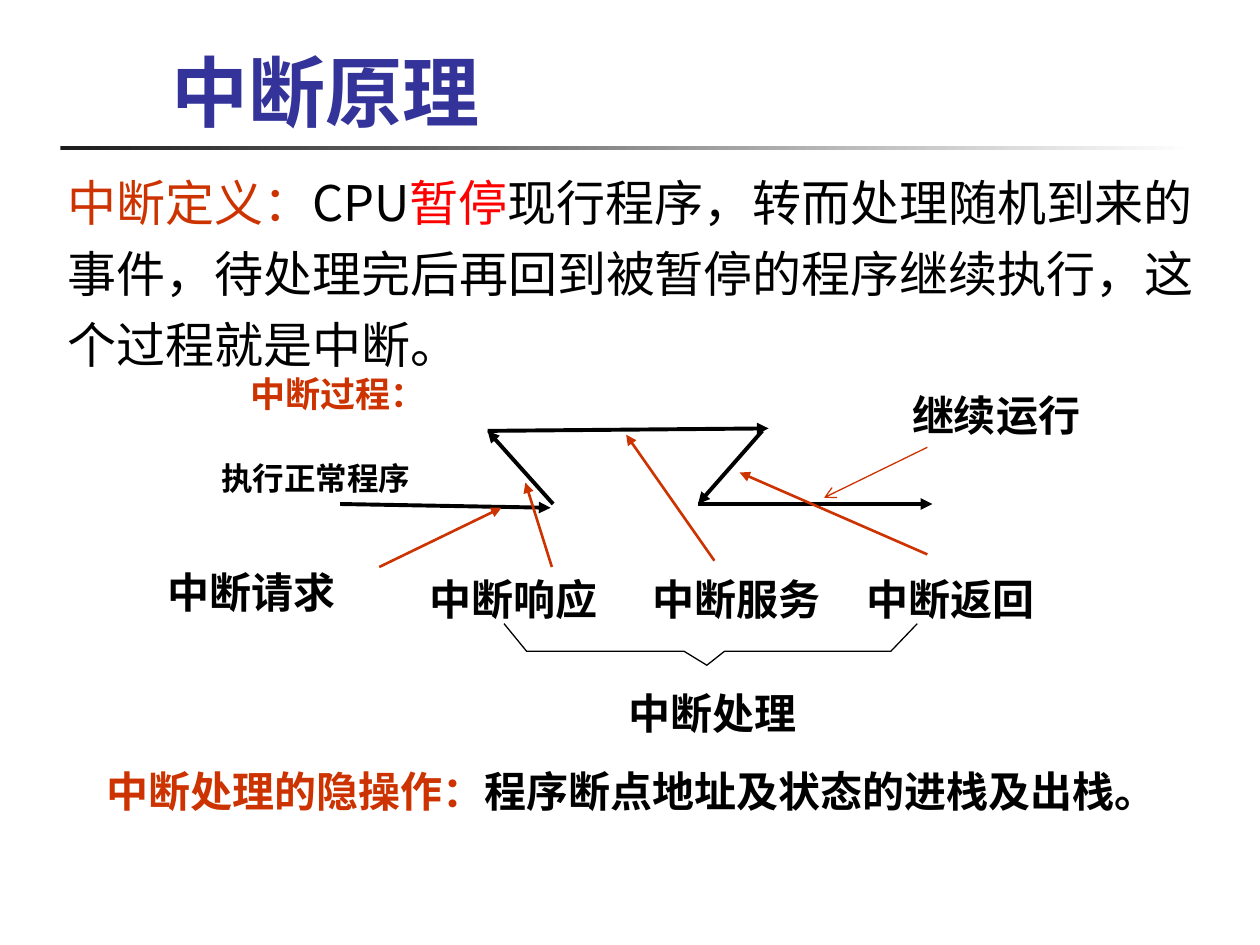
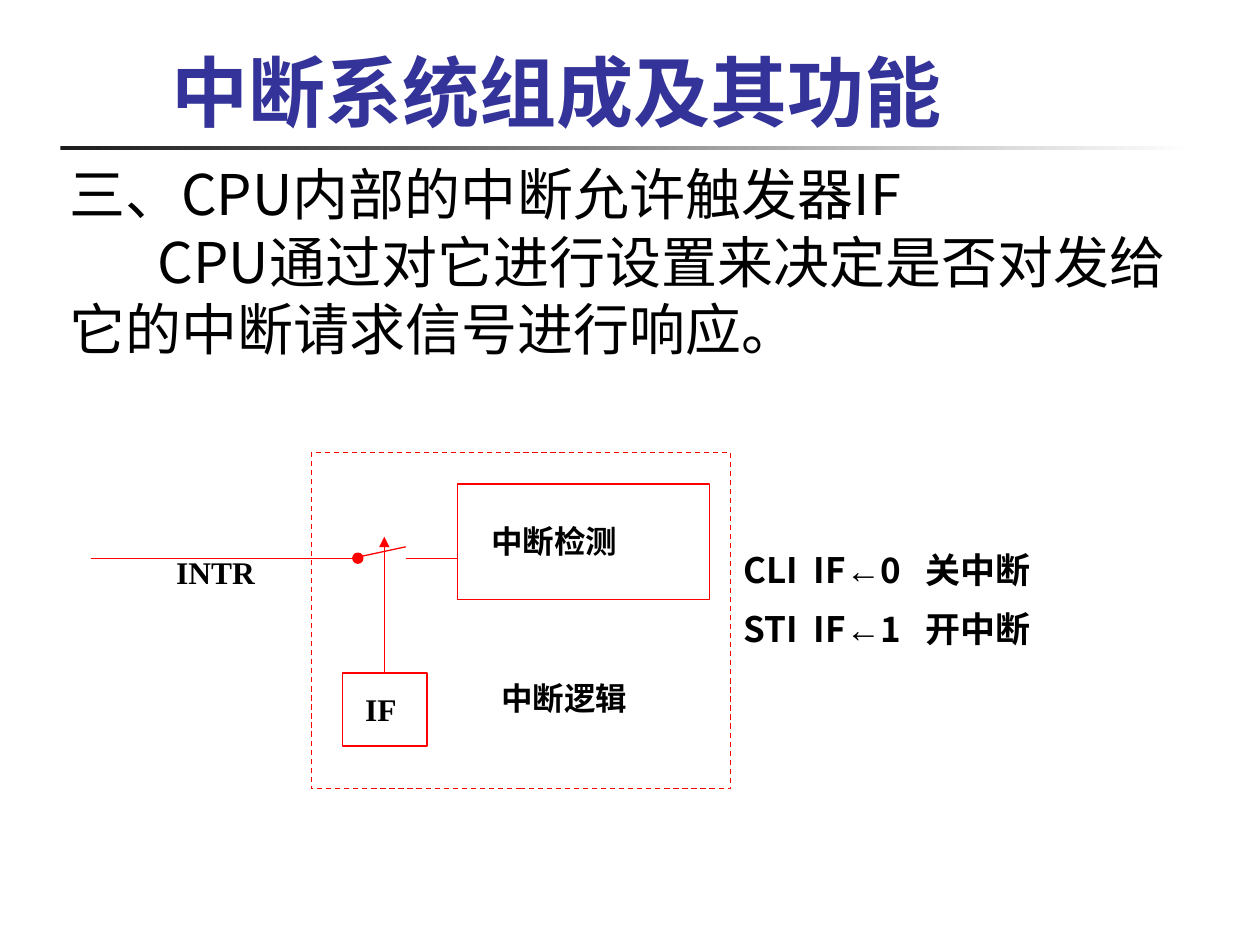
from lxml.etree import SubElement
from pptx import Presentation
from pptx.dml.color import RGBColor
from pptx.enum.dml import MSO_LINE
from pptx.enum.shapes import MSO_CONNECTOR, MSO_SHAPE
from pptx.enum.text import MSO_ANCHOR
from pptx.oxml.ns import qn
from pptx.util import Emu, Pt

PX = 9144  # 100 px to the inch
COLORS = {
    "title": "333399",
    "text": "000000",
    "accent": "CC3300",
    "red": "FF0000",
    "rule_dark": "1C1C1C",
    "rule_light": "FFFFFF",
}
SANS = "Noto Sans CJK SC"
SERIF = "Times New Roman"
ARIAL = "Arial"


def px(*lengths):
    return [Emu(length * PX) for length in lengths]


def rgb(name):
    return RGBColor.from_string(COLORS[name])


def add_text(page, area, width_wraps=True):
    """Return the text frame of a new text box."""
    frame = page.shapes.add_textbox(*px(*area)).text_frame
    frame.word_wrap = width_wraps
    return frame


def add_run(para, words, size, font=SERIF, color="text", bold=True, asian=SANS):
    span = para.add_run()
    span.text = words
    span.font.size = Pt(size)
    span.font.bold = bold
    span.font.color.rgb = rgb(color)
    span.font.name = font
    SubElement(span.font._element, qn("a:ea")).set("typeface", asian)


def add_label(page, area, words, size, font=SERIF, color="text", wraps=True):
    add_run(add_text(page, area, wraps).paragraphs[0], words, size, font, color)


def add_line(page, start, end, color, weight, tip=None):
    """Draw a straight line, with an arrowhead of type tip at its end."""
    line = page.shapes.add_connector(MSO_CONNECTOR.STRAIGHT, *px(*start, *end))
    line.line.color.rgb = rgb(color)
    line.line.width = Pt(weight)
    if tip:
        SubElement(line.line._get_or_add_ln(), qn("a:tailEnd")).set("type", tip)
    SubElement(line._element.spPr, qn("a:effectLst"))


def add_outline(page, area, dashed=False, kind=MSO_SHAPE.RECTANGLE, filled=False):
    """Draw a thin red shape, hollow unless filled."""
    shape = page.shapes.add_shape(kind, *px(*area))
    shape.shadow.inherit = False
    if filled:
        shape.fill.solid()
        shape.fill.fore_color.rgb = rgb("red")
    else:
        shape.fill.background()
    shape.line.color.rgb = rgb("red")
    shape.line.width = Pt(0.75)
    if dashed:
        shape.line.dash_style = MSO_LINE.DASH


def add_bracket(page, points):
    builder = page.shapes.build_freeform(*points[0], scale=PX)
    builder.add_line_segments(points[1:], close=False)
    bracket = builder.convert_to_shape()
    bracket.shadow.inherit = False
    bracket.fill.background()
    bracket.line.color.rgb = rgb("text")
    bracket.line.width = Pt(0.75)


def add_tab_stops(para, *stops):
    tabs = SubElement(para._p.get_or_add_pPr(), qn("a:tabLst"))
    for stop in stops:
        tab = SubElement(tabs, qn("a:tab"))
        tab.set("pos", str(stop * PX))
        tab.set("algn", "l")


def add_page(deck, title, title_width):
    """Add a page with the fading rule and its title."""
    page = deck.slides.add_slide(deck.slide_layouts[6])
    rule = page.shapes.add_shape(MSO_SHAPE.RECTANGLE, *px(48, 116, 900, 3))
    rule.shadow.inherit = False
    rule.line.fill.background()
    rule.fill.gradient()
    rule.fill.gradient_angle = 0
    for stop, color in zip(rule.fill.gradient_stops, ("rule_dark", "rule_light")):
        stop.color.rgb = rgb(color)
    frame = add_text(page, (126, 22, title_width, 100))
    frame.vertical_anchor = MSO_ANCHOR.MIDDLE
    add_run(frame.paragraphs[0], title, 44, SANS, "title")
    return page


def add_principle_page(deck):
    page = add_page(deck, "中断原理", 682)

    para = add_text(page, (44, 123, 933, 178)).paragraphs[0]
    para.line_spacing = 1.2
    for words, color in (
        ("中断定义：", "accent"),
        ("CPU", "text"),
        ("暂停", "red"),
        ("现行程序，转而处理随机到来的事件，待处理完后再回到被暂停的程序继续执行，"
         "这个过程就是中断。", "text"),
    ):
        add_run(para, words, 28, SANS, color, bold=False)

    add_label(page, (189, 291, 255, 44), "中断过程：", 20, color="accent")
    add_label(page, (166, 359, 170, 40), "执行正常程序", 18, ARIAL, wraps=False)

    program_flow = (
        ((270, 400), (437, 403)),
        ((439, 400), (387, 342)),
        ((387, 342), (610, 340)),
        ((605, 342), (554, 400)),
        ((554, 400), (740, 400)),
    )
    for start, end in program_flow:
        add_line(page, start, end, "text", 2.25, "triangle")

    stages = (
        ("中断请求", (123, 445), (301, 450), (398, 403)),
        ("中断响应", (331, 450), (438, 450), (417, 383)),
        ("中断服务", (508, 450), (567, 445), (497, 345)),
        ("中断返回", (678, 450), (736, 440), (587, 375)),
    )
    for words, corner, start, end in stages:
        add_label(page, (*corner, 153, 50), words, 24, wraps=False)
        add_line(page, start, end, "accent", 1.5, "triangle")
    add_label(page, (714, 304, 153, 50), "继续运行", 24, wraps=False)
    add_line(page, (736, 355), (654, 395), "accent", 0.75, "arrow")

    add_bracket(page, [(400, 495), (418, 517), (543, 517), (561, 528),
                       (575, 517), (707, 517), (728, 495)])
    add_label(page, (489, 541, 164, 50), "中断处理", 24)

    para = add_text(page, (75, 603, 925, 50)).paragraphs[0]
    add_run(para, "中断处理的隐操作：", 24, color="accent")
    add_run(para, "程序断点地址及状态的进栈及出栈。", 24)


def add_system_page(deck):
    page = add_page(deck, "中断系统组成及其功能", 765)

    frame = add_text(page, (45, 122, 911, 185))
    add_run(frame.paragraphs[0], "三、CPU内部的中断允许触发器IF", 32, SANS, bold=False)
    para = frame.add_paragraph()
    para._p.get_or_add_pPr().set("indent", str(70 * PX))
    add_run(para, "CPU通过对它进行设置来决定是否对发给它的中断请求信号进行响应。",
            32, SANS, bold=False)

    add_outline(page, (247, 359, 333, 267), dashed=True)
    add_outline(page, (363, 384, 200, 92))
    add_outline(page, (272, 534, 67, 58))
    add_outline(page, (280, 439, 8, 8), kind=MSO_SHAPE.OVAL, filled=True)

    add_line(page, (72, 443), (280, 443), "red", 0.75)
    add_line(page, (280, 443), (322, 434), "red", 0.75)
    add_line(page, (322, 443), (363, 443), "red", 0.75)
    add_line(page, (305, 534), (305, 426), "red", 0.75, "triangle")

    for words, left, top, width in (
        ("中断检测", 380, 409, 183),
        ("IF", 280, 543, 58),
        ("中断逻辑", 388, 534, 175),
        ("INTR", 130, 434, 183),
    ):
        add_label(page, (left, top, width, 40), words, 18)

    frame = add_text(page, (580, 434, 308, 88))
    for row, (command, value, effect) in enumerate((
        ("CLI", "0", "关中断"),
        ("STI", "1", "开中断"),
    )):
        para = frame.add_paragraph() if row else frame.paragraphs[0]
        para.line_spacing = 0.9
        if row:
            para.space_before = Pt(12.5)
        add_tab_stops(para, 56, 145)
        add_run(para, f"{command}\tIF", 20, SANS)
        add_run(para, "←", 20, ARIAL, asian=ARIAL)
        add_run(para, f"{value}\t{effect}", 20, SANS)


def main():
    deck = Presentation()
    deck.slide_width, deck.slide_height = px(1000, 750)
    add_principle_page(deck)
    add_system_page(deck)
    deck.save("out.pptx")


if __name__ == "__main__":
    main()
